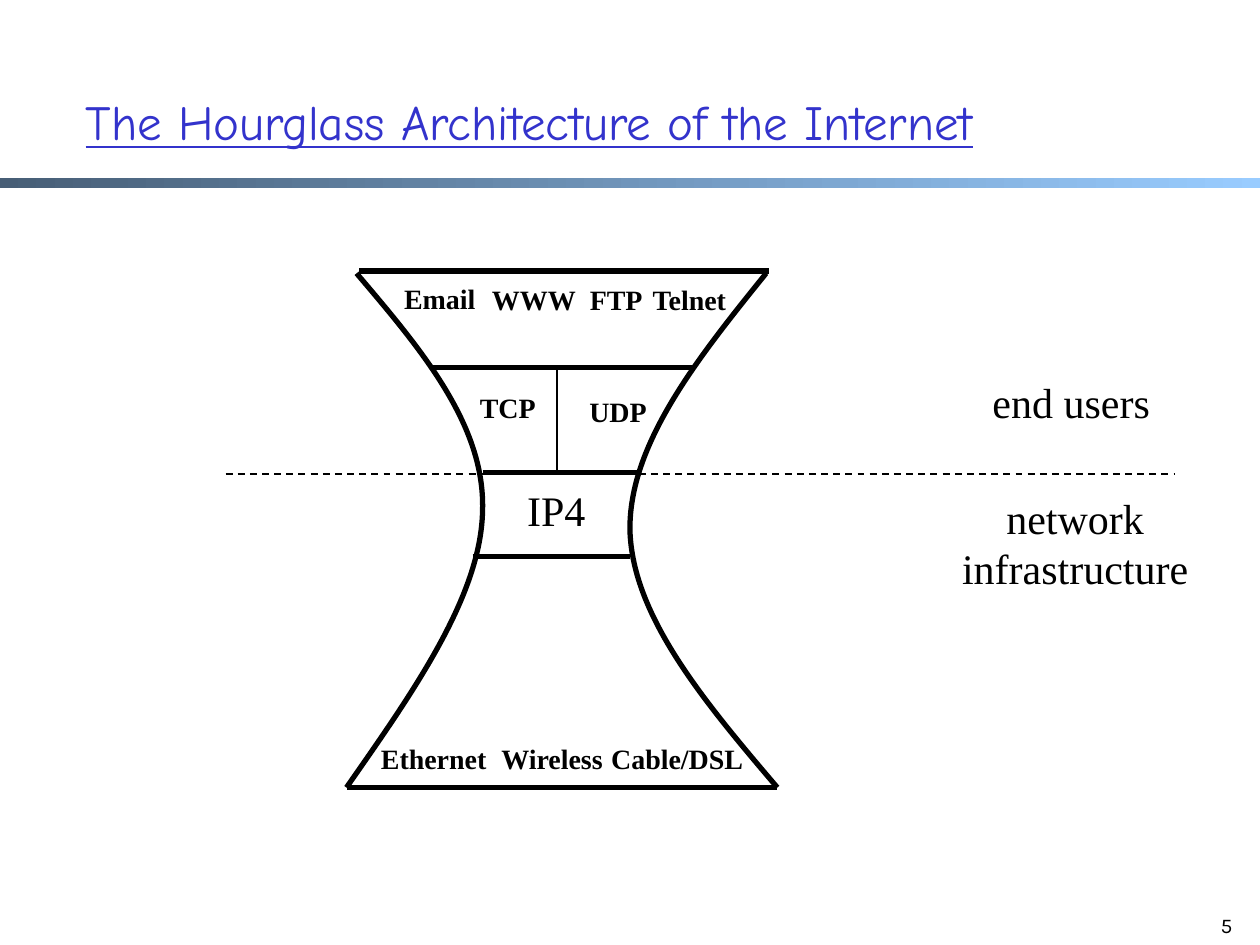
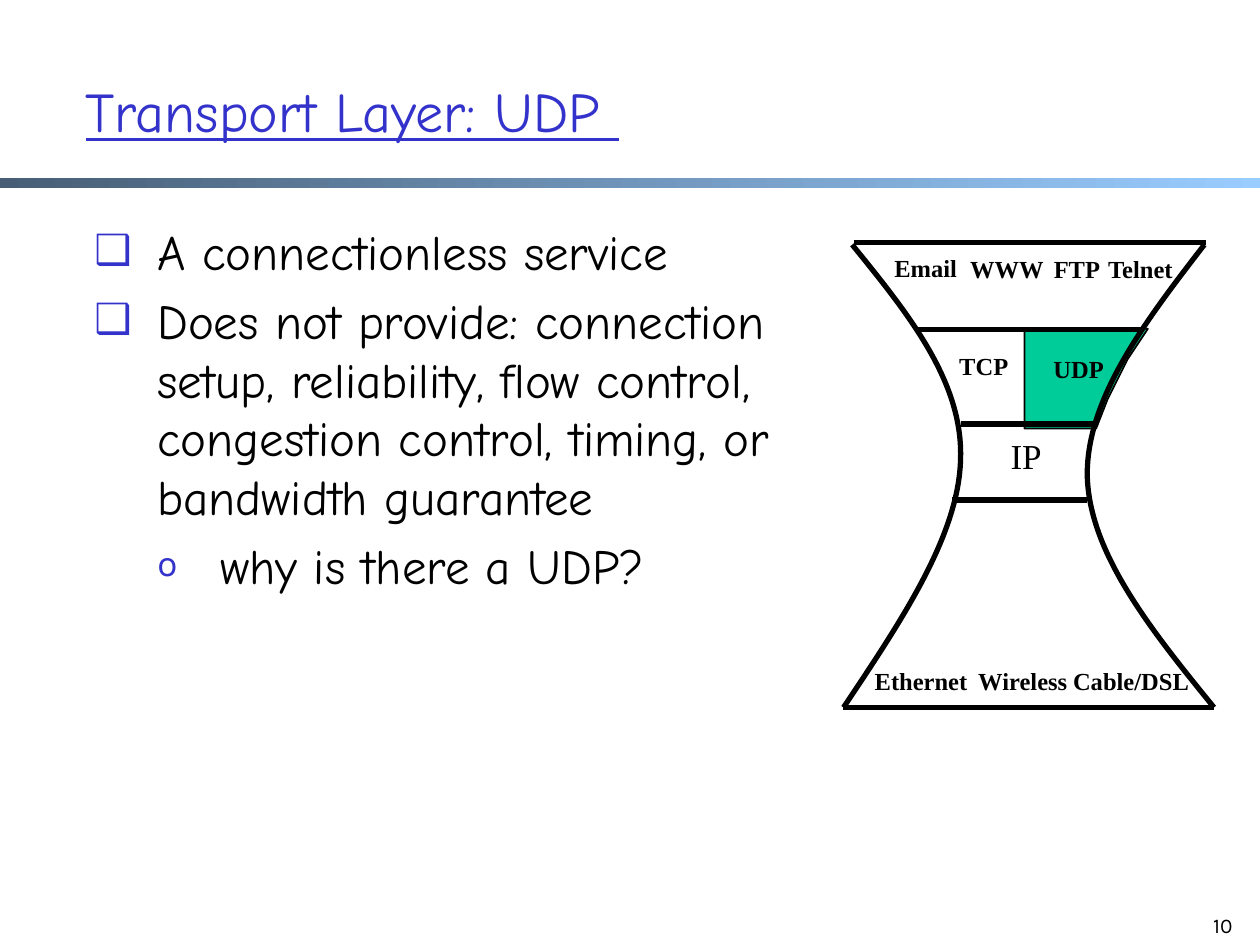
from dataclasses import dataclass
from lxml import etree
from pptx import Presentation
from pptx import util as u
from pptx.dml.color import RGBColor
from pptx.enum import dml, shapes, text
from pptx.oxml import ns

Pt = u.Pt


@dataclass(frozen=True)
class Theme:
    ink: RGBColor = RGBColor.from_string("000000")
    heading: RGBColor = RGBColor.from_string("3333CC")
    band_start: RGBColor = RGBColor.from_string("475E76")
    band_end: RGBColor = RGBColor.from_string("99CCFF")
    highlight: RGBColor = RGBColor.from_string("00CC99")
    hand: str = "Comic Neue"
    sans: str = "Karla"
    serif: str = "Times New Roman"
    number_size: int = 12
    body_size: int = 28
    side_size: int = 24
    thick: int = 3
    thin: int = 1


theme = Theme()


def write(canvas, box, words, size, font, color=theme.ink, bold=None, underline=None,
          align=text.PP_ALIGN.CENTER, anchor=text.MSO_ANCHOR.TOP, wrap=False):
    area = canvas.add_textbox(*[Pt(length) for length in box])
    frame = area.text_frame
    frame.word_wrap = wrap
    if not wrap:
        frame.margin_left = frame.margin_right = 0
    frame.vertical_anchor = anchor
    frame.text = words
    for paragraph in frame.paragraphs:
        paragraph.alignment = align
        for run in paragraph.runs:
            run.font.size = Pt(size)
            run.font.name = font
            run.font.color.rgb = color
            run.font.bold = bold
            run.font.underline = underline
    return frame


def rule(canvas, x1, y1, x2, y2, weight):
    stroke = canvas.add_connector(shapes.MSO_CONNECTOR.STRAIGHT, Pt(x1), Pt(y1), Pt(x2), Pt(y2))
    stroke.line.color.rgb = theme.ink
    stroke.line.width = Pt(weight)
    etree.SubElement(stroke._element.spPr, ns.qn("a:effectLst"))
    return stroke


pages = [
    dict(title="The Hourglass Architecture of the Internet", title_size=28,
         title_box=(41.8, 30.2, 612, 77.8), number="5",
         left=198, top=154.8, x_scale=1, y_scale=1, label_size=16,
         core="IP4", core_size=24, core_box=(293.8, 273.2, 48.2, 36)),
    dict(title="Transport Layer: UDP ", title_size=32,
         title_box=(41.8, 18, 612, 90), number="10",
         left=482, top=138.6, x_scale=0.86, y_scale=0.9, label_size=14,
         core="IP", core_size=20, core_box=(570.2, 245, 32.4, 31.7)),
]

sides = [
    [(5.8, 1.4), (42.5, 44.6), (79.2, 87.8), (77.8, 136.8),
     (77, 185.8), (38.2, 240.5), (0, 295.2)],
    [(239.8, 1.4), (200.2, 50.4), (161.3, 99.4), (162, 148.3),
     (163.4, 197.3), (204.5, 246.2), (246.2, 295.2)],
]
layer_edges = [
    (7.2, 0, 241.2, 0, theme.thick),
    (48.2, 55.4, 198, 55.4, theme.thick),
    (77.8, 115.2, 167.8, 115.2, theme.thick),
    (72, 163.4, 162, 163.4, theme.thick),
    (0, 295.2, 246.2, 295.2, theme.thick),
    (120.2, 55.4, 120.2, 115.2, theme.thin),
]
protocols = [
    ("Email", 25.6, 2.5, 55.4), ("WWW", 75.8, 3.2, 62.6),
    ("FTP", 131.8, 3.2, 44.6), ("Telnet", 166.8, 3.2, 58.3),
    ("TCP", 69.1, 64.8, 46.1), ("UDP", 131.4, 67, 47.5),
    ("Ethernet", 12.4, 265.2, 74.9), ("Wireless", 80.8, 265.2, 73.4),
    ("Cable/DSL", 143.6, 265.2, 90.7),
]
protocol_height = 26.6
udp_region = [(655.9, 187.9), (585.4, 187.9), (585.4, 244.8), (626.4, 244.8),
              (632.9, 228.2), (644.4, 205.2)]
points = [
    ("A connectionless service", 0),
    ("Does not provide: connection setup, reliability, flow control, "
     "congestion control, timing, or bandwidth guarantee", 0),
    ("why is there a UDP?", 1),
]
bullets = [("❑", 85), ("o", 75)]

deck = Presentation()
deck.slide_width, deck.slide_height = Pt(720), Pt(540)

for page in pages:
    slide = deck.slides.add_slide(deck.slide_layouts[6])
    band = slide.shapes.add_shape(shapes.MSO_SHAPE.RECTANGLE, 0, Pt(101.7), Pt(720), Pt(6))
    band.shadow.inherit = False
    band.line.fill.background()
    band.fill.gradient()
    band.fill.gradient_angle = 0
    for stop, color in zip(band.fill.gradient_stops, (theme.band_start, theme.band_end)):
        stop.color.rgb = color
    write(slide.shapes, (675.4, 517.7, 36, 36), page["number"], theme.number_size, theme.sans,
          align=text.PP_ALIGN.RIGHT, wrap=True)
    write(slide.shapes, page["title_box"], page["title"], page["title_size"], theme.hand,
          theme.heading, underline=True, align=text.PP_ALIGN.LEFT,
          anchor=text.MSO_ANCHOR.MIDDLE, wrap=True)

    if page["core"] == "IP4":
        boundary = rule(slide.shapes, 128.9, 270.7, 671, 270.7, theme.thin)
        boundary.line.dash_style = dml.MSO_LINE.DASH
        write(slide.shapes, (542, 277.9, 144.7, 65.5), "network\ninfrastructure",
              theme.side_size, theme.serif)
        write(slide.shapes, (559.6, 211.7, 105.1, 36), "end users", theme.side_size, theme.serif)
    else:
        body = write(slide.shapes, (46.8, 123.1, 423.4, 365.8),
                     "\n".join(words for words, level in points), theme.body_size, theme.hand,
                     align=text.PP_ALIGN.LEFT, wrap=True)
        for paragraph, (words, level) in zip(body.paragraphs, points):
            mark, percent = bullets[level]
            paragraph.level = level
            paragraph.space_before = Pt(5.6)
            properties = paragraph._p.get_or_add_pPr()
            properties.set("marL", str(Pt(36 * (level + 1))))
            properties.set("indent", str(-Pt(36)))
            tint = etree.SubElement(properties, ns.qn("a:buClr"))
            etree.SubElement(tint, ns.qn("a:srgbClr"), val=str(theme.heading))
            etree.SubElement(properties, ns.qn("a:buSzPct"), val=str(percent * 1000))
            etree.SubElement(properties, ns.qn("a:buFont"), typeface=theme.sans)
            etree.SubElement(properties, ns.qn("a:buChar"), char=mark)

    left, top, x_scale, y_scale = (page[key] for key in ("left", "top", "x_scale", "y_scale"))
    hourglass = slide.shapes.add_group_shape().shapes

    if page["core"] == "IP":
        corners = [(Pt(x), Pt(y)) for x, y in udp_region]
        outline = hourglass.build_freeform(*corners[0])
        outline.add_line_segments(corners[1:], close=True)
        region = outline.convert_to_shape()
        region.shadow.inherit = False
        region.fill.solid()
        region.fill.fore_color.rgb = theme.highlight
        region.line.color.rgb = theme.ink
        region.line.width = Pt(theme.thin)

    for side in sides:
        controls = [(Pt(left + x * x_scale), Pt(top + y * y_scale)) for x, y in side]
        outline = hourglass.build_freeform(*controls[0])
        outline.add_line_segments(controls[1:], close=False)
        curve = outline.convert_to_shape()
        curve.shadow.inherit = False
        curve.fill.background()
        curve.line.color.rgb = theme.ink
        curve.line.width = Pt(theme.thick)
        segments = list(curve._element.iter(ns.qn("a:lnTo")))
        for first in range(0, len(segments), 3):
            bend = etree.SubElement(segments[first].getparent(), ns.qn("a:cubicBezTo"))
            for segment in segments[first:first + 3]:
                bend.append(segment[0])
                segment.getparent().remove(segment)

    for x1, y1, x2, y2, weight in layer_edges:
        rule(hourglass, left + x1 * x_scale, top + y1 * y_scale,
             left + x2 * x_scale, top + y2 * y_scale, weight)
    for protocol, x, y, width in protocols:
        write(hourglass, (left + x * x_scale, top + y * y_scale,
                          width * y_scale, protocol_height * y_scale),
              protocol, page["label_size"], theme.serif, bold=True)
    write(hourglass, page["core_box"], page["core"], page["core_size"], theme.serif)

deck.save("out.pptx")
